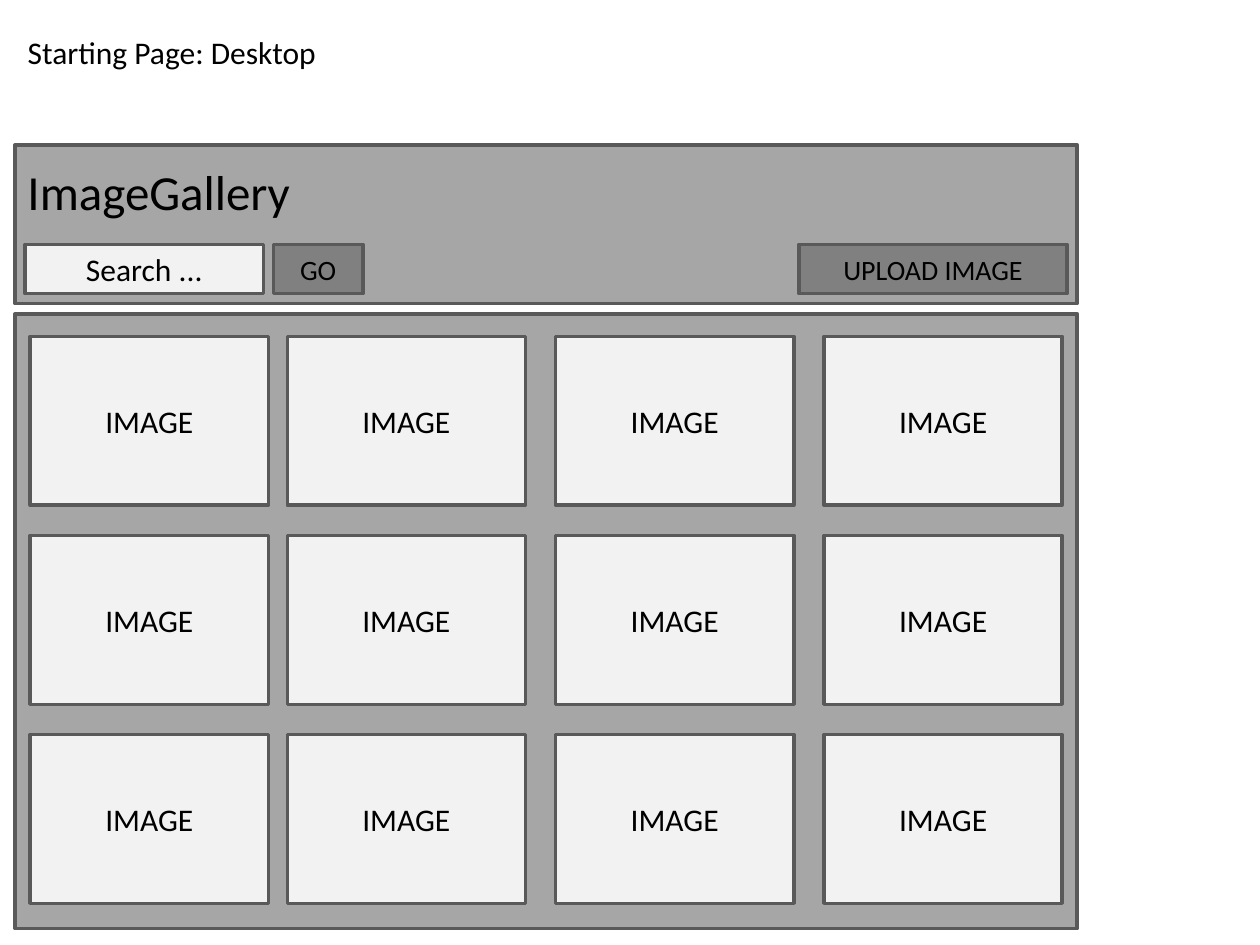
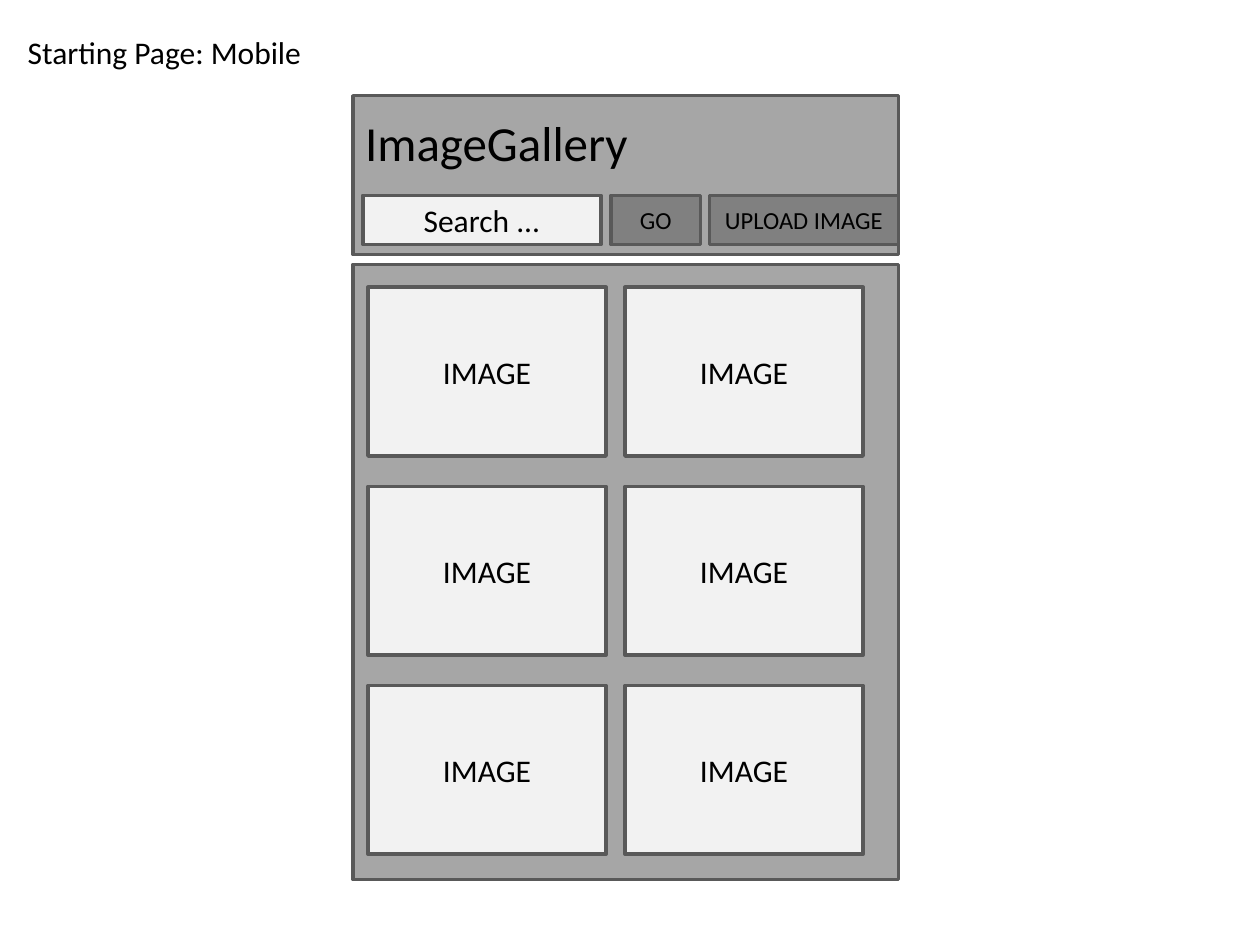
from dataclasses import dataclass

import pptx
import pptx.dml.color
import pptx.enum.shapes
import pptx.enum.text
import pptx.slide
import pptx.text.text
import pptx.util

Inches = pptx.util.Inches
Pt = pptx.util.Pt
RGB = pptx.dml.color.RGBColor
Align = pptx.enum.text.PP_ALIGN
Anchor = pptx.enum.text.MSO_ANCHOR
AutoSize = pptx.enum.text.MSO_AUTO_SIZE


@dataclass(frozen=True)
class Theme:
    font: str = "Calibri"
    text: RGB = RGB.from_string("000000")
    outline: RGB = RGB.from_string("595959")
    panel: RGB = RGB.from_string("A6A6A6")
    field: RGB = RGB.from_string("F2F2F2")
    button: RGB = RGB.from_string("808080")
    outline_width: float = 2
    body_size: float = 18
    brand_size: float = 28


THEME = Theme()


@dataclass(frozen=True)
class Box:
    left: float
    top: float
    width: float
    height: float

    def lengths(self) -> tuple[int, int, int, int]:
        return (Inches(self.left), Inches(self.top),
                Inches(self.width), Inches(self.height))


@dataclass(frozen=True)
class Wireframe:
    """One page mock-up; upload_left and columns count from its left edge."""
    title: str
    title_width: float
    left: float
    top: float
    width: float
    upload_left: float
    upload_width: float
    button_size: float
    columns: tuple[float, ...]


COLUMNS = (0.12, 2.16, 4.29, 6.42)
ROWS = 3
ROW_TOP, ROW_PITCH = 1.52, 1.58
IMAGE_WIDTH, IMAGE_HEIGHT = 1.89, 1.34
TOOLBAR_TOP, TOOLBAR_HEIGHT = 0.79, 0.39

WIREFRAMES = (
    Wireframe("Starting Page: Desktop", 2.52, 0.12, 1.15, 8.43,
              6.22, 2.13, 16, COLUMNS),
    Wireframe("Starting Page: Mobile", 2.4, 2.8, 0.76, 4.33,
              2.83, 1.5, 14, COLUMNS[:2]),
)


def set_text(frame: pptx.text.text.TextFrame, text: str, size: float,
             align: Align) -> None:
    frame.text = text
    paragraph = frame.paragraphs[0]
    paragraph.alignment = align
    font = paragraph.runs[0].font
    font.name = THEME.font
    font.size = Pt(size)
    font.color.rgb = THEME.text


def set_label(frame: pptx.text.text.TextFrame, text: str, size: float) -> None:
    """Fill a frame with one unwrapped, left-aligned line."""
    set_text(frame, text, size, Align.LEFT)
    frame.word_wrap = False
    frame.auto_size = AutoSize.SHAPE_TO_FIT_TEXT
    frame.vertical_anchor = Anchor.TOP


def add_block(slide: pptx.slide.Slide, box: Box, fill: RGB,
              text: str = "", size: float = THEME.body_size) -> None:
    """Add an outlined rectangle, with centred text if any is given."""
    block = slide.shapes.add_shape(
        pptx.enum.shapes.MSO_SHAPE.RECTANGLE, *box.lengths())
    block.shadow.inherit = False
    block.fill.solid()
    block.fill.fore_color.rgb = fill
    block.line.color.rgb = THEME.outline
    block.line.width = Pt(THEME.outline_width)
    if text:
        set_text(block.text_frame, text, size, Align.CENTER)
        block.text_frame.vertical_anchor = Anchor.MIDDLE


def add_title(slide: pptx.slide.Slide, page: Wireframe) -> None:
    title = slide.shapes.title
    title.left, title.top, title.width, title.height = Box(
        0.12, 0.21, page.title_width, 0.4).lengths()
    set_label(title.text_frame, page.title, THEME.body_size)


def add_header(slide: pptx.slide.Slide, page: Wireframe) -> None:
    def toolbar_box(left: float, width: float) -> Box:
        return Box(page.left + left, page.top + TOOLBAR_TOP,
                   width, TOOLBAR_HEIGHT)

    add_block(slide, Box(page.left, page.top, page.width, 1.26), THEME.panel)
    brand = slide.shapes.add_textbox(
        *Box(page.left, page.top + 0.08, 2.3, 0.57).lengths())
    set_label(brand.text_frame, "ImageGallery", THEME.brand_size)
    add_block(slide, toolbar_box(0.08, 1.89), THEME.field, "Search ...")
    add_block(slide, toolbar_box(2.05, 0.71), THEME.button, "GO",
              page.button_size)
    add_block(slide, toolbar_box(page.upload_left, page.upload_width),
              THEME.button, "UPLOAD IMAGE", page.button_size)


def add_gallery(slide: pptx.slide.Slide, page: Wireframe) -> None:
    add_block(slide, Box(page.left, page.top + 1.34, page.width, 4.88),
              THEME.panel)
    for row in range(ROWS):
        top = page.top + ROW_TOP + row * ROW_PITCH
        for column in page.columns:
            add_block(slide, Box(page.left + column, top,
                                 IMAGE_WIDTH, IMAGE_HEIGHT),
                      THEME.field, "IMAGE")


def main() -> None:
    deck = pptx.Presentation()
    deck.slide_width, deck.slide_height = Inches(10), Inches(7.5)
    title_only = deck.slide_layouts.get_by_name("Title Only")
    for page in WIREFRAMES:
        slide = deck.slides.add_slide(title_only)
        add_title(slide, page)
        add_header(slide, page)
        add_gallery(slide, page)
    deck.save("out.pptx")


if __name__ == "__main__":
    main()
